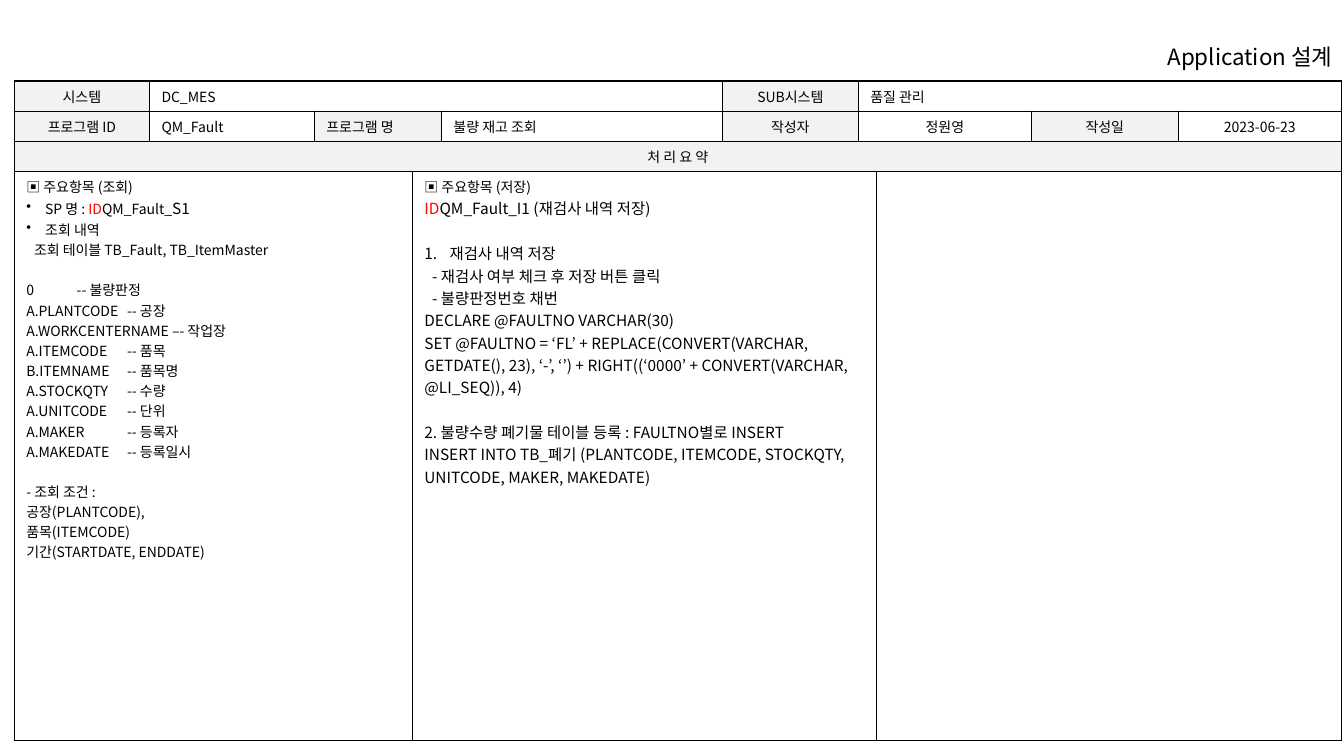
import pptx
import pptx.dml.color
import pptx.enum.text
import pptx.oxml
import pptx.oxml.ns
import pptx.util

Pt = pptx.util.Pt
RGBColor = pptx.dml.color.RGBColor
Align = pptx.enum.text.PP_ALIGN
Anchor = pptx.enum.text.MSO_ANCHOR
qn = pptx.oxml.ns.qn

BLACK = RGBColor(0x00, 0x00, 0x00)
RED = RGBColor(0xFF, 0x00, 0x00)
GREY = RGBColor(0xF2, 0xF2, 0xF2)
WHITE = RGBColor(0xFF, 0xFF, 0xFF)
FONT = "Noto Sans CJK KR"

TITLE = "Application 설계"
TABLE_LEFT, TABLE_TOP = 10.2, 57.8
COLUMN_WIDTHS = (96.6, 117.8, 70, 20.8, 200.6, 97.2, 12.8, 110.8, 105, 116.4)
ROW_HEIGHTS = (20.2, 20.2, 20.2, 406)
CELL_MARGINS = {"margin_left": Pt(8.6), "margin_right": Pt(8.6),
                "margin_top": Pt(3.6), "margin_bottom": Pt(3.6)}
BLANK_LINE = {10: 14.4, 11: 16}

# Each heading cell: text, columns spanned, fill, alignment
HEADING_ROWS = [
    [("시스템", 1, GREY, Align.CENTER), ("DC_MES", 4, WHITE, Align.LEFT),
     ("SUB시스템", 1, GREY, Align.CENTER), ("품질 관리", 4, WHITE, Align.LEFT)],
    [("프로그램 ID", 1, GREY, Align.CENTER), ("QM_Fault", 1, WHITE, Align.LEFT),
     ("프로그램 명", 2, GREY, Align.LEFT), ("불량 재고 조회", 1, WHITE, Align.LEFT),
     ("작성자", 1, GREY, Align.CENTER), ("정원영", 2, WHITE, Align.CENTER),
     ("작성일", 1, GREY, Align.CENTER), ("2023-06-23", 1, WHITE, Align.CENTER)],
    [("처 리 요 약", 10, GREY, Align.CENTER)],
]

# Selected fields: name, comment, where the comment starts
FIELDS = [
    ("0", "-- 불량판정", 75), ("A.PLANTCODE", "-- 공장", 92.5),
    ("A.WORKCENTERNAME –- 작업장", None, None),
    ("A.ITEMCODE", "-- 품목", 91.5), ("B.ITEMNAME", "-- 품목명", 93),
    ("A.STOCKQTY", "-- 수량", 90), ("A.UNITCODE", "-- 단위", 91.5),
    ("A.MAKER", "-- 등록자", 86.5), ("A.MAKEDATE", "-- 등록일시", 91),
]


def line(*runs, size=10, **layout):
    """Describe a paragraph; a run is a text or (text, format)."""
    formatted = [(run, {}) if isinstance(run, str) else run for run in runs]
    return {"runs": formatted, "size": size, **layout}


def field_line(name, comment, stop):
    if comment is None:
        return line(name)
    return line(f"{name}\t{comment}", tab=stop)


field_lines = [field_line(*field) for field in FIELDS]
field_lines[0]["gap"] = True

INQUIRY = [
    line("▣ 주요항목 (조회)"),
    line("SP 명 : ", ("ID", {"color": RED}), "QM_Fault_", ("S1", {"size": 11}),
         bullet='<a:buChar {} char="•"/>', hanging=13.5),
    line("조회 내역", bullet='<a:buChar {} char="•"/>', hanging=13.5),
    line("조회 테이블 TB_Fault, TB_ItemMaster", indent=5.5),
    *field_lines,
    line("- 조회 조건 :", gap=True),
    line("공장(PLANTCODE),"),
    line("품목(ITEMCODE)"),
    line("기간(STARTDATE, ENDDATE)"),
]
SAVING = [
    line("▣ 주요항목 (저장)"),
    line(("ID", {"color": RED}), "QM_Fault_I1 (재검사 내역 저장)", size=11),
    line("재검사 내역 저장", size=11, gap=True,
         bullet='<a:buAutoNum {} type="arabicPeriod"/>', hanging=18),
    line("- 재검사 여부 체크 후 저장 버튼 클릭", size=11, indent=5.5),
    line("- 불량판정번호 채번", size=11, indent=5.5),
    line("DECLARE @FAULTNO VARCHAR(30)", size=11),
    line("SET @FAULTNO = ‘FL’ + REPLACE(CONVERT(VARCHAR, GETDATE(), 23), ‘-’, ‘’)"
         " + RIGHT((‘0000’ + CONVERT(VARCHAR, @LI_SEQ)), 4)", size=11),
    line("2. 불량수량 폐기물 테이블 등록 : FAULTNO별로 INSERT", size=11, gap=True),
    line("INSERT INTO TB_폐기 (PLANTCODE, ITEMCODE, STOCKQTY, UNITCODE, MAKER, MAKEDATE)",
         size=11),
]
BODY = [(INQUIRY, 3), (SAVING, 4), ([], 3)]


def set_attributes(target, values):
    for name, value in values.items():
        setattr(target, name, value)


def parse(template):
    return pptx.oxml.parse_xml(template.format(pptx.oxml.ns.nsdecls("a")))


def add_run(paragraph, text, size=10, color=BLACK):
    run = paragraph.add_run()
    run.text = text
    set_attributes(run.font, {"name": FONT, "size": Pt(size), "bold": False})
    run.font.color.rgb = color
    run.font._element.find(qn("a:latin")).addnext(
        parse(f'<a:ea {{}} typeface="{FONT}"/>'))


def write_lines(text_frame, lines):
    for index, item in enumerate(lines):
        paragraph = text_frame.add_paragraph() if index else text_frame.paragraphs[0]
        paragraph.alignment = item.get("align", Align.LEFT)
        if item.get("gap"):
            paragraph.space_before = Pt(BLANK_LINE[item["size"]])
        properties = paragraph._p.get_or_add_pPr()
        hanging = item.get("hanging", 0)
        properties.set("marL", str(Pt(item.get("indent", hanging))))
        properties.set("indent", str(-Pt(hanging)))
        if "bullet" in item:
            properties.append(parse(item["bullet"]))
        if "tab" in item:
            properties.append(parse(
                f'<a:tabLst {{}}><a:tab pos="{Pt(item["tab"])}" algn="l"/></a:tabLst>'))
        for text, style in item["runs"]:
            add_run(paragraph, text, **{"size": item["size"], **style})


def frame_cell(cell):
    """Give a cell its margins, black borders and white fill."""
    set_attributes(cell, CELL_MARGINS)
    for side in "LRTB":
        cell._tc.get_or_add_tcPr().append(parse(
            f'<a:ln{side} {{}} w="{Pt(1)}"><a:solidFill><a:srgbClr val="{BLACK}"/>'
            f'</a:solidFill></a:ln{side}>'))
    cell.fill.solid()
    cell.fill.fore_color.rgb = WHITE


def fill_cell(table, row, column, span, lines, fill, anchor):
    cell = table.cell(row, column)
    if span > 1:
        cell.merge(table.cell(row, column + span - 1))
    cell.fill.fore_color.rgb = fill
    cell.vertical_anchor = anchor
    write_lines(cell.text_frame, lines)


def add_title(slide):
    title = slide.shapes.title
    set_attributes(title, {"left": Pt(745.2), "top": Pt(28.8),
                           "width": Pt(213.8), "height": Pt(23.8)})
    set_attributes(title.text_frame, {
        "word_wrap": True, "vertical_anchor": Anchor.MIDDLE,
        "auto_size": pptx.enum.text.MSO_AUTO_SIZE.NONE,
        "margin_left": Pt(7.2), "margin_right": Pt(7.2),
        "margin_top": Pt(0), "margin_bottom": Pt(0)})
    write_lines(title.text_frame, [line(TITLE, size=16, align=Align.RIGHT)])


def add_design_table(slide):
    table = slide.shapes.add_table(
        len(ROW_HEIGHTS), len(COLUMN_WIDTHS), Pt(TABLE_LEFT), Pt(TABLE_TOP),
        Pt(sum(COLUMN_WIDTHS)), Pt(sum(ROW_HEIGHTS))).table
    set_attributes(table, {"first_row": False, "horz_banding": False})
    for column, width in zip(table.columns, COLUMN_WIDTHS):
        column.width = Pt(width)
    for row, height in zip(table.rows, ROW_HEIGHTS):
        row.height = Pt(height)
    for cell in table.iter_cells():
        frame_cell(cell)
    for row, headings in enumerate(HEADING_ROWS):
        column = 0
        for text, span, fill, align in headings:
            fill_cell(table, row, column, span, [line(text, align=align)],
                      fill, Anchor.MIDDLE)
            column += span
    column = 0
    for lines, span in BODY:
        fill_cell(table, len(HEADING_ROWS), column, span, lines, WHITE, Anchor.TOP)
        column += span


def main():
    presentation = pptx.Presentation()
    set_attributes(presentation, {"slide_width": Pt(960), "slide_height": Pt(540)})
    slide = presentation.slides.add_slide(presentation.slide_layouts.get_by_name("Title Only"))
    add_design_table(slide)
    add_title(slide)
    presentation.save("out.pptx")


if __name__ == "__main__":
    main()
